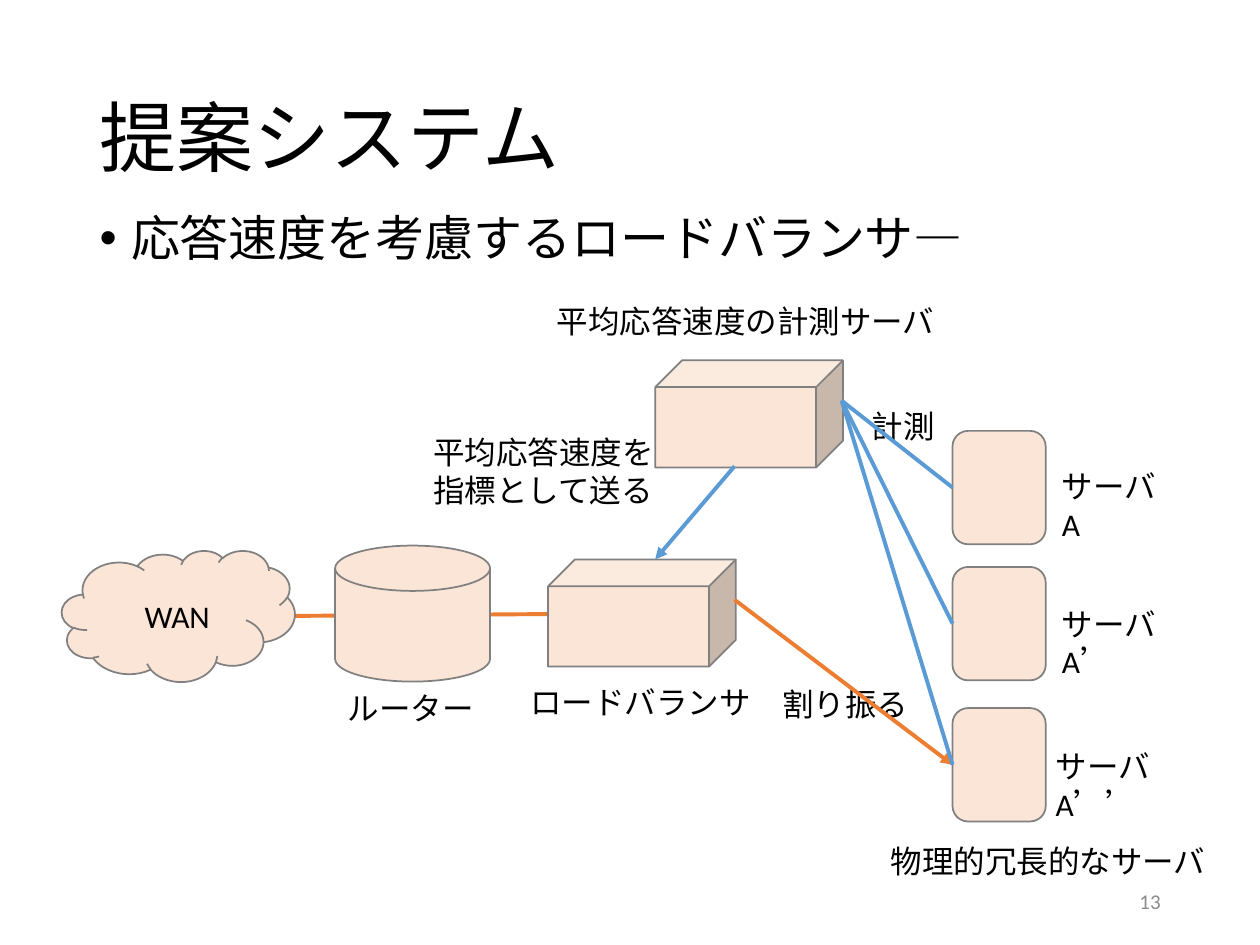
from dataclasses import dataclass

from lxml import etree
from pptx import Presentation
from pptx.dml.color import RGBColor
from pptx.enum.shapes import MSO_CONNECTOR, MSO_SHAPE
from pptx.enum.text import MSO_ANCHOR, MSO_AUTO_SIZE, PP_ALIGN
from pptx.oxml.ns import qn
from pptx.util import Inches, Pt

CUBE = MSO_SHAPE.CUBE
CLOUD = MSO_SHAPE.CLOUD
DISK = MSO_SHAPE.FLOWCHART_MAGNETIC_DISK
SERVER = MSO_SHAPE.FLOWCHART_ALTERNATE_PROCESS
STRAIGHT = MSO_CONNECTOR.STRAIGHT
LEFT, RIGHT = PP_ALIGN.LEFT, PP_ALIGN.RIGHT
TOP, MIDDLE = MSO_ANCHOR.TOP, MSO_ANCHOR.MIDDLE
FIXED, GROW = MSO_AUTO_SIZE.NONE, MSO_AUTO_SIZE.SHAPE_TO_FIT_TEXT


@dataclass(frozen=True)
class Theme:
    """Font, colours and type sizes of the slide."""
    font: str = "Calibri"
    text: str = "000000"
    muted: str = "8C8C8C"
    node: str = "FBE5D6"
    outline: str = "808080"
    traffic: str = "ED7D31"
    measuring: str = "5B9BD5"
    title_size: int = 44
    body_size: int = 28
    label_size: int = 18
    number_size: int = 12
    outline_width: float = 1
    link_width: float = 2.25


class SlideBuilder:
    """Adds styled elements to one slide."""

    def __init__(self, slide, theme):
        """Keep the slide and its theme."""
        self.slide = slide
        self.theme = theme

    def _write(self, frame, text, size, color, align=LEFT, anchor=TOP):
        """Put styled text into a frame and return its paragraph."""
        frame.text = text
        frame.vertical_anchor = anchor
        paragraph = frame.paragraphs[0]
        paragraph.alignment = align
        paragraph.font.name = self.theme.font
        paragraph.font.size = Pt(size)
        paragraph.font.color.rgb = RGBColor.from_string(color)
        return paragraph

    def _placeholder(self, holder, box, text, size, anchor):
        """Move and fill a template placeholder."""
        holder.left, holder.top, holder.width, holder.height = map(Inches, box)
        holder.text_frame.auto_size = FIXED
        paragraph = self._write(holder.text_frame, text, size,
                                self.theme.text, anchor=anchor)
        paragraph.line_spacing = 0.9
        return paragraph

    def title(self, box, text):
        """Fill the title placeholder."""
        self._placeholder(self.slide.shapes.title, box, text,
                          self.theme.title_size, MIDDLE)

    def bullet(self, box, text):
        """Fill the body placeholder with one bullet."""
        paragraph = self._placeholder(self.slide.placeholders[1], box, text,
                                      self.theme.body_size, TOP)
        paragraph.space_before = Pt(10)
        properties = paragraph._p.get_or_add_pPr()
        properties.set("marL", str(Inches(0.25)))
        properties.set("indent", str(-Inches(0.25)))
        etree.SubElement(properties, qn("a:buFont")).set("typeface", "Arial")
        etree.SubElement(properties, qn("a:buChar")).set("char", "•")

    def node(self, kind, box):
        """Add a network device."""
        device = self.slide.shapes.add_shape(kind, *map(Inches, box))
        device.shadow.inherit = False
        device.fill.solid()
        device.fill.fore_color.rgb = RGBColor.from_string(self.theme.node)
        device.line.color.rgb = RGBColor.from_string(self.theme.outline)
        device.line.width = Pt(self.theme.outline_width)

    def label(self, box, text, wrap=False):
        """Add a caption."""
        frame = self.slide.shapes.add_textbox(*map(Inches, box)).text_frame
        frame.word_wrap = wrap
        frame.auto_size = FIXED if wrap else GROW
        self._write(frame, text, self.theme.label_size, self.theme.text)

    def number(self, box, text):
        """Add the page number."""
        frame = self.slide.shapes.add_textbox(*map(Inches, box)).text_frame
        frame.word_wrap = True
        self._write(frame, text, self.theme.number_size, self.theme.muted,
                    RIGHT, MIDDLE)

    def link(self, start, end, color, arrow=False):
        """Add a straight link, with an arrowhead at its end if asked."""
        link = self.slide.shapes.add_connector(
            STRAIGHT, *map(Inches, (*start, *end)))
        link.line.color.rgb = RGBColor.from_string(color)
        link.line.width = Pt(self.theme.link_width)
        if arrow:
            head = etree.SubElement(link.line._get_or_add_ln(), qn("a:tailEnd"))
            head.set("type", "triangle")
        etree.SubElement(link._element.spPr, qn("a:effectLst"))


def main():
    """Build the load balancer slide and save it."""
    deck = Presentation()
    deck.slide_width, deck.slide_height = Inches(10), Inches(7.5)
    theme = Theme()
    page = SlideBuilder(deck.slides.add_slide(deck.slide_layouts[1]), theme)

    page.title((0.69, 0.4, 8.62, 1.45), "提案システム")
    page.bullet((0.69, 1.65, 8.62, 0.53), "応答速度を考慮するロードバランサ―")
    page.number((7.06, 6.95, 2.25, 0.4), "13")

    page.link((2.12, 4.89), (4.87, 4.87), theme.traffic)
    server_left, server_height = 7.56, 0.9
    server_tops = (3.42, 4.5, 5.62)
    devices = [
        (CUBE, (5.2, 2.86, 1.49, 0.85)),
        (CLOUD, (0.49, 4.37, 1.85, 1.04)),
        (DISK, (2.66, 4.33, 1.23, 1.08)),
        (CUBE, (4.35, 4.44, 1.49, 0.85)),
    ]
    devices += [(SERVER, (server_left, top, 0.74, server_height))
                for top in server_tops]
    for kind, box in devices:
        page.node(kind, box)

    captions = [
        ((4.11, 5.37, 1.97, 0.4), "ロードバランサ"),
        ((2.66, 5.42, 1.21, 0.4), "ルーター"),
        ((1.05, 4.69, 0.72, 0.4), "WAN"),
        ((4.32, 2.35, 3.23, 0.4), "平均応答速度の計測サーバ"),
        ((6.97, 6.63, 2.73, 0.4), "物理的冗長的なサーバ"),
        ((6.82, 3.18, 0.71, 0.4), "計測"),
        ((3.34, 3.39, 1.97, 0.71), "平均応答速度を\v指標として送る"),
        ((6.11, 5.39, 1.21, 0.4), "割り振る"),
    ]
    for box, text in captions:
        page.label(box, text)

    server_names = [
        ((8.33, 3.66, 1.08, 0.4), "サーバA"),
        ((8.33, 4.75, 1.15, 0.4), "サーバA’"),
        ((8.28, 5.88, 1.2, 0.4), "サーバA’’"),
    ]
    for box, text in server_names:
        page.label(box, text, wrap=True)

    server_ports = [(server_left, top + server_height / 2)
                    for top in server_tops]
    page.link((5.83, 3.7), (5.2, 4.44), theme.measuring, arrow=True)
    page.link((5.83, 4.76), server_ports[-1], theme.traffic, arrow=True)
    for port in server_ports:
        page.link((6.68, 3.18), port, theme.measuring)

    deck.save("out.pptx")


main()
